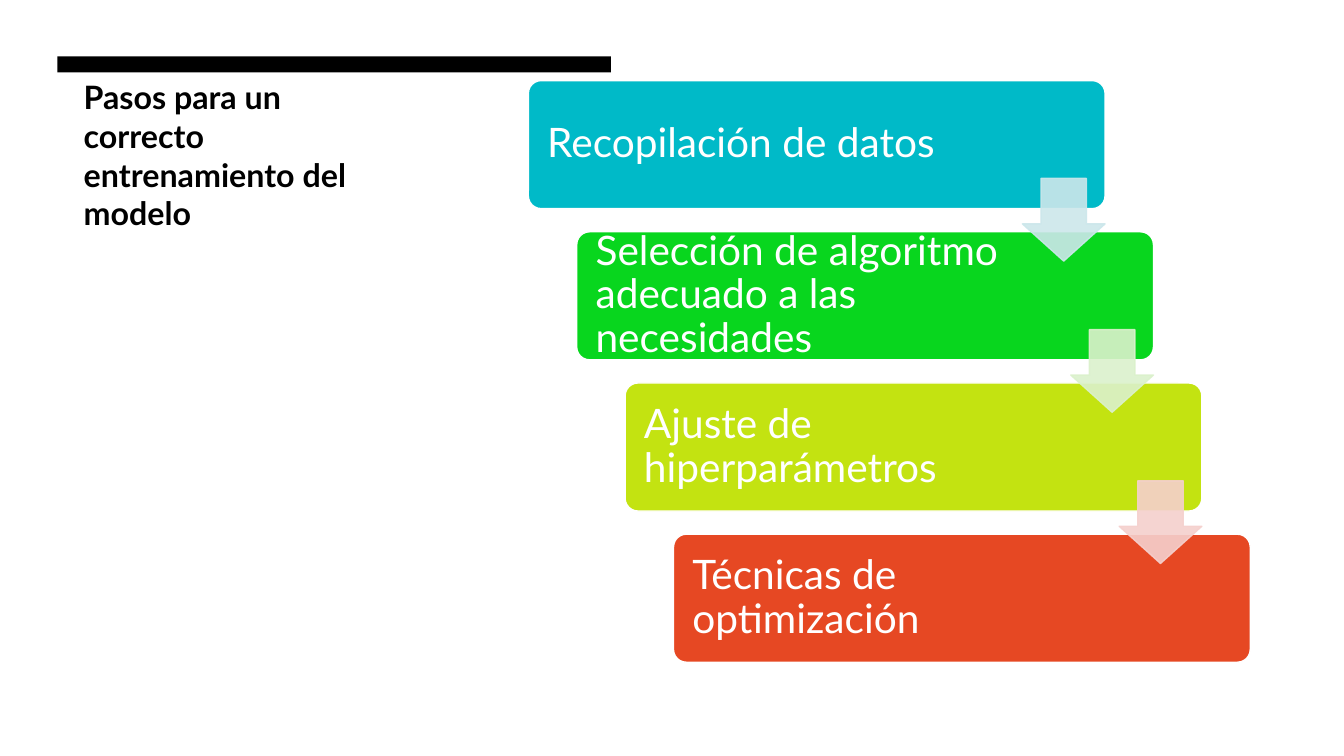
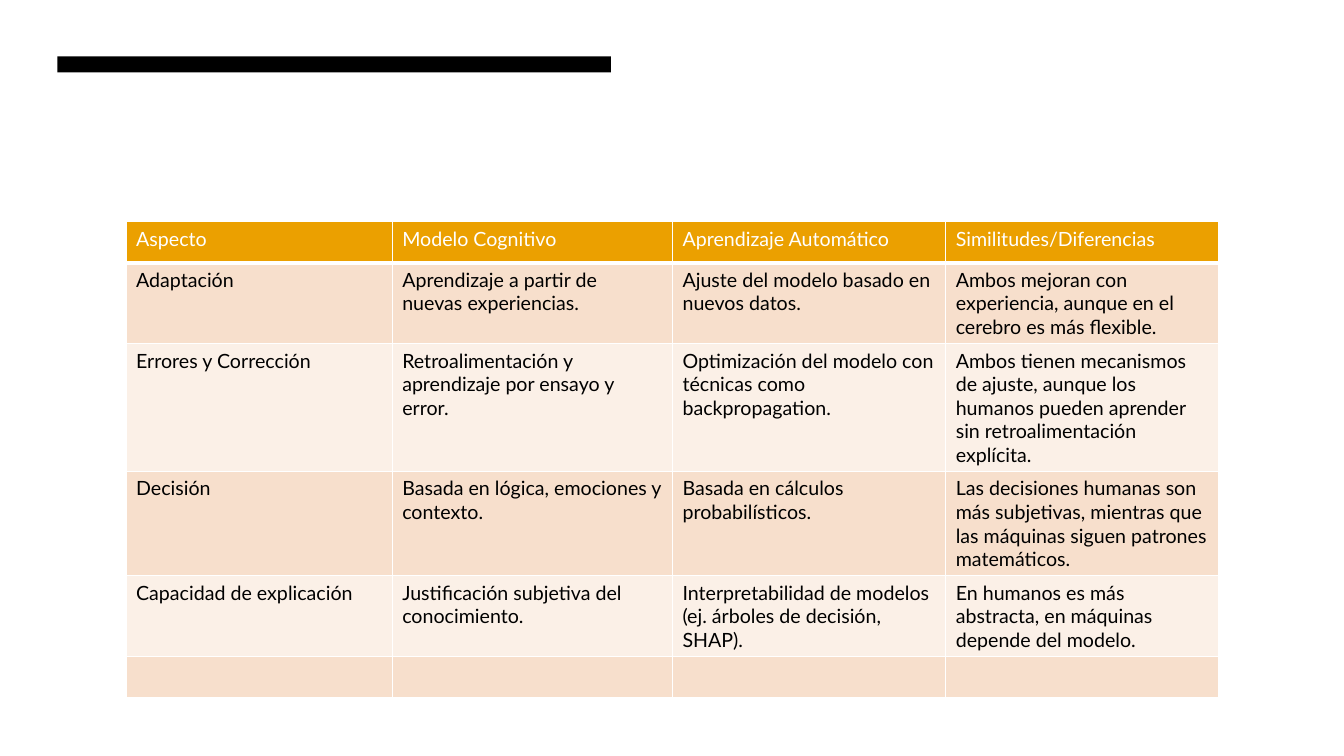
from lxml import etree
from pptx import Presentation
from pptx import util as u
from pptx.dml import color
from pptx.enum import shapes, text
from pptx.oxml import ns

FONT = "Lato"
BLACK = "000000"
WHITE = "FFFFFF"
HEADER_FILL = "EBA000"
BAND_FILLS = ["F7DFCC", "FBF0E7"]

STEPS = [
    ("Recopilación de datos", "00BAC8"),
    ("Selección de algoritmo adecuado a las necesidades", "08D61E"),
    ("Ajuste de hiperparámetros", "C3E311"),
    ("Técnicas de optimización", "E64823"),
]
ARROW_FILLS = ["CCE7EB", "DBF1CC", "F5D0CD"]
STEP_SHIFT = 0.48
STEP_PITCH = 1.5

COLUMN_WIDTHS = [2.64, 2.78, 2.71, 2.71]
ROW_HEIGHT = 0.41
COMPARISON = [
    ["Aspecto", "Modelo Cognitivo", "Aprendizaje Automático", "Similitudes/Diferencias"],
    ["Adaptación",
     "Aprendizaje a partir de nuevas experiencias.",
     "Ajuste del modelo basado en nuevos datos.",
     "Ambos mejoran con experiencia, aunque en el cerebro es más flexible."],
    ["Errores y Corrección",
     "Retroalimentación y aprendizaje por ensayo y error.",
     "Optimización del modelo con técnicas como backpropagation.",
     "Ambos tienen mecanismos de ajuste, aunque los humanos pueden aprender "
     "sin retroalimentación explícita."],
    ["Decisión",
     "Basada en lógica, emociones y contexto.",
     "Basada en cálculos probabilísticos.",
     "Las decisiones humanas son más subjetivas, mientras que las máquinas "
     "siguen patrones matemáticos."],
    ["Capacidad de explicación",
     "Justificación subjetiva del conocimiento.",
     "Interpretabilidad de modelos (ej. árboles de decisión, SHAP).",
     "En humanos es más abstracta, en máquinas depende del modelo."],
    [""] * 4,
]


def rgb(value):
    return color.RGBColor.from_string(value)


def write(frame, content, size, fill, bold=False, line_spacing=None):
    paragraph = frame.paragraphs[0]
    paragraph.alignment = text.PP_ALIGN.LEFT
    if line_spacing:
        paragraph.line_spacing = line_spacing
    run = paragraph.add_run()
    run.text = content
    run.font.name = FONT
    run.font.size = u.Pt(size)
    run.font.bold = bold
    run.font.color.rgb = rgb(fill)


def add_box(slide, kind, left, top, width, height, fill, line=None, adjustments=()):
    shape = slide.shapes.add_shape(
        kind, u.Inches(left), u.Inches(top), u.Inches(width), u.Inches(height))
    shape.shadow.inherit = False
    shape.fill.solid()
    shape.fill.fore_color.rgb = rgb(fill)
    if line:
        shape.line.color.rgb = rgb(line)
        shape.line.width = u.Pt(1)
    else:
        shape.line.fill.background()
    for index, value in enumerate(adjustments):
        shape.adjustments[index] = value
    return shape


def set_opacity(shape, percent):
    for element in shape.element.spPr.iter(ns.qn("a:srgbClr")):
        etree.SubElement(element, ns.qn("a:alpha"), val=str(percent * 1000))


def add_band(slide):
    add_box(slide, shapes.MSO_SHAPE.RECTANGLE, 0.57, 0.56, 5.49, 0.16, BLACK)


def set_title(slide, content):
    title = slide.shapes.title
    title.left, title.top = u.Inches(0.73), u.Inches(0.72)
    title.width, title.height = u.Inches(3.24), u.Inches(3.19)
    frame = title.text_frame
    frame.word_wrap = True
    frame.auto_size = text.MSO_AUTO_SIZE.NONE
    frame.vertical_anchor = text.MSO_ANCHOR.TOP
    write(frame, content, size=23, fill=BLACK, bold=True)


def add_step(slide, index, content, fill):
    shape = add_box(
        slide, shapes.MSO_SHAPE.ROUNDED_RECTANGLE,
        5.24 + index * STEP_SHIFT, 0.8 + index * STEP_PITCH, 5.72, 1.27,
        fill, line=WHITE, adjustments=[0.1])
    frame = shape.text_frame
    frame.word_wrap = True
    frame.vertical_anchor = text.MSO_ANCHOR.MIDDLE
    frame.margin_left, frame.margin_right = u.Inches(0.15), u.Inches(1.46)
    frame.margin_top = frame.margin_bottom = 0
    write(frame, content, size=29, fill=WHITE, line_spacing=0.9)


def add_step_arrow(slide, index, fill):
    arrow = add_box(
        slide, shapes.MSO_SHAPE.DOWN_ARROW,
        10.14 + index * STEP_SHIFT, 1.77 + index * STEP_PITCH, 0.82, 0.82,
        fill, line=fill, adjustments=[0.55, 0.45])
    set_opacity(arrow, 90)


def set_borders(cell, bottom):
    properties = cell._tc.get_or_add_tcPr()
    for side, width in (("L", 1), ("R", 1), ("T", 1), ("B", bottom)):
        line = etree.SubElement(properties, ns.qn(f"a:ln{side}"), w=str(u.Pt(width)))
        fill = etree.SubElement(line, ns.qn("a:solidFill"))
        etree.SubElement(fill, ns.qn("a:srgbClr"), val=WHITE)


def add_comparison_table(slide, rows):
    table = slide.shapes.add_table(
        len(rows), len(COLUMN_WIDTHS), u.Inches(1.25), u.Inches(2.2),
        u.Inches(sum(COLUMN_WIDTHS)), u.Inches(ROW_HEIGHT * len(rows))).table
    for column, width in zip(table.columns, COLUMN_WIDTHS):
        column.width = u.Inches(width)
    for row_index, values in enumerate(rows):
        header = row_index == 0
        table.rows[row_index].height = u.Inches(ROW_HEIGHT)
        for column_index, value in enumerate(values):
            cell = table.cell(row_index, column_index)
            set_borders(cell, bottom=3 if header else 1)
            cell.fill.solid()
            cell.fill.fore_color.rgb = rgb(
                HEADER_FILL if header else BAND_FILLS[(row_index - 1) % 2])
            if value:
                write(cell.text_frame, value, size=14, fill=WHITE if header else BLACK)


def add_steps_slide(presentation):
    slide = presentation.slides.add_slide(presentation.slide_layouts[5])
    add_band(slide)
    set_title(slide, "Pasos para un correcto entrenamiento del modelo")
    for index, (content, fill) in enumerate(STEPS):
        add_step(slide, index, content, fill)
    for index, fill in enumerate(ARROW_FILLS):
        add_step_arrow(slide, index, fill)


def add_comparison_slide(presentation):
    slide = presentation.slides.add_slide(presentation.slide_layouts[6])
    add_band(slide)
    add_comparison_table(slide, COMPARISON)


def main():
    presentation = Presentation()
    presentation.slide_width = u.Inches(13.33)
    presentation.slide_height = u.Inches(7.5)
    add_steps_slide(presentation)
    add_comparison_slide(presentation)
    presentation.save("out.pptx")


if __name__ == "__main__":
    main()
